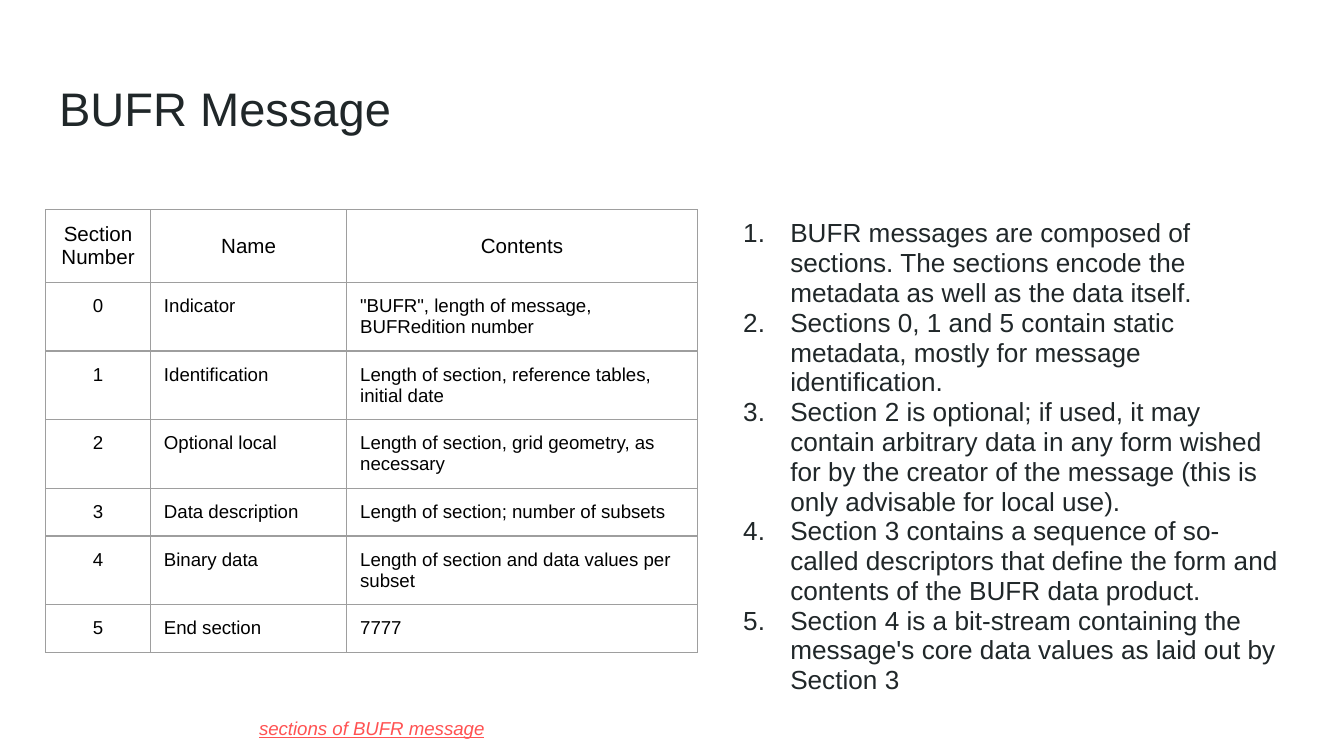
"""Build the slide on the sections of a BUFR message."""
from lxml.etree import SubElement
from pptx import Presentation
from pptx.dml.color import RGBColor
from pptx.enum.text import MSO_ANCHOR, MSO_AUTO_SIZE, PP_ALIGN
from pptx.oxml import parse_xml
from pptx.oxml.ns import nsdecls, qn
from pptx.util import Inches, Pt


def tint(code):
    return RGBColor.from_string(code)


def write(frame, lines, size, color, align=PP_ALIGN.LEFT, **look):
    for index, line in enumerate(lines):
        para = frame.paragraphs[0] if index == 0 else frame.add_paragraph()
        para.alignment = align
        run = para.add_run()
        run.text = line
        run.font.color.rgb = tint(color)
        style = {"name": "Arial", "size": Pt(size), "bold": False, **look}
        for key, value in style.items():
            setattr(run.font, key, value)


INK = "202729"
points = [
    "BUFR messages are composed of sections. The sections encode the metadata as well as the data itself.",
    "Sections 0, 1 and 5 contain static metadata, mostly for message identification.",
    "Section 2 is optional; if used, it may contain arbitrary data in any form wished for by the creator of the message (this is only advisable for local use).",
    "Section 3 contains a sequence of so-called descriptors that define the form and contents of the BUFR data product.",
    "Section 4 is a bit-stream containing the message's core data values as laid out by Section 3",
]
rows = [
    ("Section Number", "Name", "Contents"),
    ("0", "Indicator", "\"BUFR\", length of message, BUFRedition number"),
    ("1", "Identification", "Length of section, reference tables, initial date"),
    ("2", "Optional local", "Length of section, grid geometry, as necessary"),
    ("3", "Data description", "Length of section; number of subsets"),
    ("4", "Binary data", "Length of section and data values per subset"),
    ("5", "End section", "7777"),
]
widths = [0.78, 1.46, 2.61]
heights = [0.46, 0.3, 0.3, 0.43, 0.3, 0.3, 0.3]

deck = Presentation()
deck.slide_width, deck.slide_height = Inches(10), Inches(10 * 9 / 16)
slide = deck.slides.add_slide(deck.slide_layouts[1])
title, body = slide.placeholders
note = slide.shapes.add_textbox(0, 0, 0, 0)

places = [
    (title, (0.34, 0.49, 9.32, 0.63), MSO_ANCHOR.TOP),
    (body, (5.28, 1.53, 4.37, 3.77), MSO_ANCHOR.TOP),
    (note, (0.54, 5.29, 4.45, 0.26), MSO_ANCHOR.MIDDLE),
]
for shape, box, anchor in places:
    shape.left, shape.top, shape.width, shape.height = map(Inches, box)
    frame = shape.text_frame
    format = {"word_wrap": True, "auto_size": MSO_AUTO_SIZE.NONE, "vertical_anchor": anchor}
    for side in ("left", "right", "top", "bottom"):
        format[f"margin_{side}"] = Inches(0.1)
    for key, value in format.items():
        setattr(frame, key, value)

write(title.text_frame, ["BUFR Message"], 25.2, INK)
write(body.text_frame, points, 14, INK)
write(note.text_frame, ["sections of BUFR message"], 10, "FF5252",
      PP_ALIGN.CENTER, italic=True, underline=True)

for para in body.text_frame.paragraphs:
    para.line_spacing = 0.95
    para.space_before = para.space_after = Pt(0)
    props = para._p.get_or_add_pPr()
    props.set("marL", str(Inches(0.5)))
    props.set("indent", str(Inches(-0.35)))
    shade = SubElement(props, qn("a:buClr"))
    SubElement(shade, qn("a:srgbClr"), val=INK)
    SubElement(props, qn("a:buFont"), typeface="Arial")
    SubElement(props, qn("a:buAutoNum"), type="arabicPeriod")

table = slide.shapes.add_table(
    len(rows), len(widths), Inches(0.34), Inches(1.56),
    Inches(sum(widths)), Inches(sum(heights))).table
table.first_row = table.horz_banding = False
for column, width in zip(table.columns, widths):
    column.width = Inches(width)
for row, height in zip(table.rows, heights):
    row.height = Inches(height)

for down, texts in enumerate(rows):
    for across, text in enumerate(texts):
        cell = table.cell(down, across)
        head = down == 0
        cell.fill.background()
        cell.vertical_anchor = MSO_ANCHOR.MIDDLE if head else MSO_ANCHOR.TOP
        for side in ("left", "right", "top", "bottom"):
            setattr(cell, f"margin_{side}", Inches(0.1))
        align = PP_ALIGN.CENTER if head or across == 0 else PP_ALIGN.LEFT
        write(cell.text_frame, [text], 11 if head else 10, "000000", align)
        props = cell._tc.get_or_add_tcPr()
        for index, edge in enumerate("LRTB"):
            props.insert(index, parse_xml(
                f'<a:ln{edge} {nsdecls("a")} w="{Pt(0.75)}"><a:solidFill>'
                f'<a:srgbClr val="9E9E9E"/></a:solidFill></a:ln{edge}>'))

deck.save("out.pptx")
